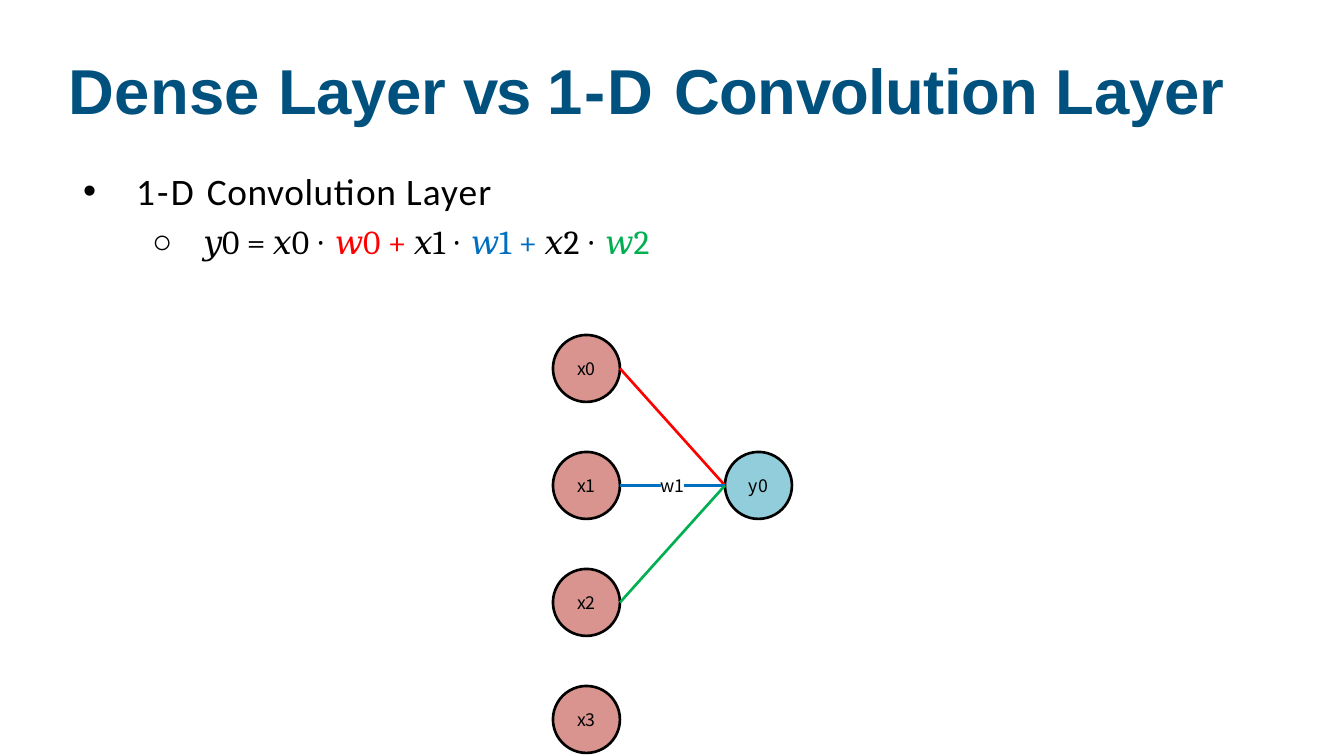
from lxml import etree
from pptx import Presentation
from pptx import util as u
from pptx.dml.color import RGBColor
from pptx.enum import shapes, text
from pptx.oxml.ns import qn

PX = 914400 / 134.4
SLIDE_WIDTH, SLIDE_HEIGHT = 1344, 756
BLACK, RED, BLUE, GREEN = "000000", "FF0000", "006FC0", "00AF50"
NODE_SIZE, NODE_PITCH = 67, 117
INPUT_LEFT, INPUT_TOP, OUTPUT_LEFT = 553, 335, 725

TITLE = [("Dense ", 0.1), ("Layer ", -0.2), ("vs ", -1), ("1-D ", 1),
         ("Convolution ", -0.3), ("Layer", -0.1)]
HEADING = [("1-D ", 1.2), ("Convolution ", 0.3), ("Layer", 0.6)]
FORMULA = [("𝑦0 = 𝑥0 ", 0, BLACK), ("∙ ", 0.6, BLACK), ("𝑤0 + ", 0, RED),
           ("𝑥1 ", 0, BLACK), ("∙ ", 0.6, BLACK), ("𝑤1 + ", 0, BLUE),
           ("𝑥2 ", 0, BLACK), ("∙ ", 0.6, BLACK), ("𝑤2", 0, GREEN)]


def px(length):
    return u.Emu(round(length * PX))


def color(value):
    return RGBColor.from_string(value)


def place(shape, left, top, width, height):
    shape.left, shape.top = px(left), px(top)
    shape.width, shape.height = px(width), px(height)


def set_frame(shape, anchor, top_margin=0, wrap=False):
    frame = shape.text_frame
    frame.margin_left = frame.margin_right = frame.margin_bottom = 0
    frame.margin_top = px(top_margin)
    frame.vertical_anchor = anchor
    frame.auto_size = text.MSO_AUTO_SIZE.NONE
    frame.word_wrap = wrap
    return frame


def style(paragraph, font_name, size, font_color=BLACK, bold=False):
    font = paragraph.font
    font.name, font.size, font.bold = font_name, u.Pt(size), bold
    font.color.rgb = color(font_color)


def add_runs(paragraph, pieces):
    for wording, spacing, *run_color in pieces:
        run = paragraph.add_run()
        run.text = wording
        run._r.get_or_add_rPr().set("spc", str(round(spacing * 100)))
        if run_color:
            run.font.color.rgb = color(run_color[0])


def set_bullet(paragraph, character, margin, indent):
    properties = paragraph._p.get_or_add_pPr()
    properties.set("marL", str(px(margin)))
    properties.set("indent", str(px(indent)))
    bullet = etree.Element(qn("a:buChar"), char=character)
    properties.insert_element_before(bullet, "a:tabLst", "a:defRPr", "a:extLst")


def fill_title(shape):
    place(shape, 68, 50, 1160, 79)
    frame = set_frame(shape, text.MSO_ANCHOR.TOP, 1, True)
    frame.margin_left = px(1)
    paragraph = frame.paragraphs[0]
    paragraph.alignment = text.PP_ALIGN.LEFT
    paragraph.space_before = u.Pt(0.9)
    style(paragraph, "Arial", 34, "00517E", True)
    add_runs(paragraph, TITLE)


def fill_body(shape):
    place(shape, 82, 156, 598, 108)
    frame = set_frame(shape, text.MSO_ANCHOR.TOP, 12, True)
    heading, formula = frame.paragraphs[0], frame.add_paragraph()
    formula.level = 1
    heading.space_before, formula.space_before = u.Pt(6.2), u.Pt(4.6)
    set_bullet(heading, "•", 54, -53)
    set_bullet(formula, "○", 121, -51)
    style(heading, "Calibri", 20)
    style(formula, "Cambria", 18)
    add_runs(heading, HEADING)
    add_runs(formula, FORMULA)


def add_label_shape(slide, kind, box, label, fill):
    shape = slide.shapes.add_shape(kind, *map(px, box))
    shape.shadow.inherit = False
    shape.fill.solid()
    shape.fill.fore_color.rgb = color(fill)
    shape.line.fill.background()
    paragraph = set_frame(shape, text.MSO_ANCHOR.MIDDLE).paragraphs[0]
    paragraph.text = label
    paragraph.alignment = text.PP_ALIGN.CENTER
    style(paragraph, "Noto Sans CJK KR", 9.5)
    return shape


def add_node(slide, left, row, label, fill):
    box = left, INPUT_TOP + row * NODE_PITCH, NODE_SIZE, NODE_SIZE
    node = add_label_shape(slide, shapes.MSO_SHAPE.OVAL, box, label, fill)
    node.line.color.rgb = color(BLACK)
    node.line.width = u.Pt(1.42)


def add_weight(slide, from_row, to_row, line_color):
    start, end = (INPUT_TOP + NODE_SIZE / 2 + row * NODE_PITCH
                  for row in (from_row, to_row))
    line = slide.shapes.add_connector(
        shapes.MSO_CONNECTOR.STRAIGHT, px(INPUT_LEFT + NODE_SIZE), px(start),
        px(OUTPUT_LEFT), px(end))
    line.line.color.rgb = color(line_color)
    line.line.width = u.Pt(1.42)
    etree.SubElement(line._element.spPr, qn("a:effectLst"))


def main():
    presentation = Presentation()
    presentation.slide_width = px(SLIDE_WIDTH)
    presentation.slide_height = px(SLIDE_HEIGHT)
    slide = presentation.slides.add_slide(presentation.slide_layouts[1])
    fill_title(slide.shapes.title)
    fill_body(slide.placeholders[1])
    for row in range(4):
        add_node(slide, INPUT_LEFT, row, f"x{row}", "D9948F")
    add_node(slide, OUTPUT_LEFT, 1, "y0", "92CDDC")
    for row, line_color in enumerate((RED, BLUE, GREEN)):
        add_weight(slide, row, 1, line_color)
    add_label_shape(slide, shapes.MSO_SHAPE.RECTANGLE, (661, 475, 23, 21), "w1", "FFFFFF")
    presentation.save("out.pptx")


if __name__ == "__main__":
    main()
